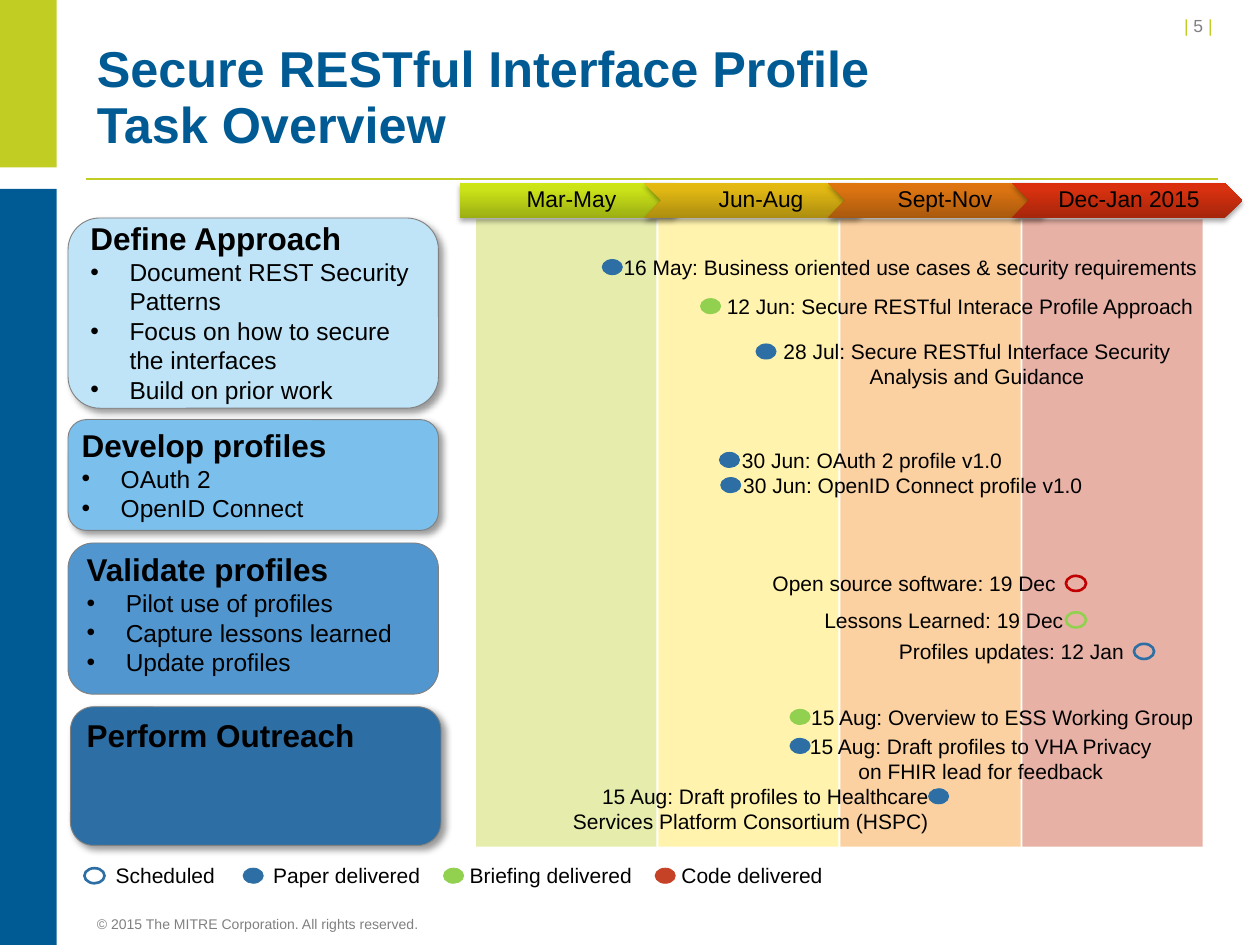
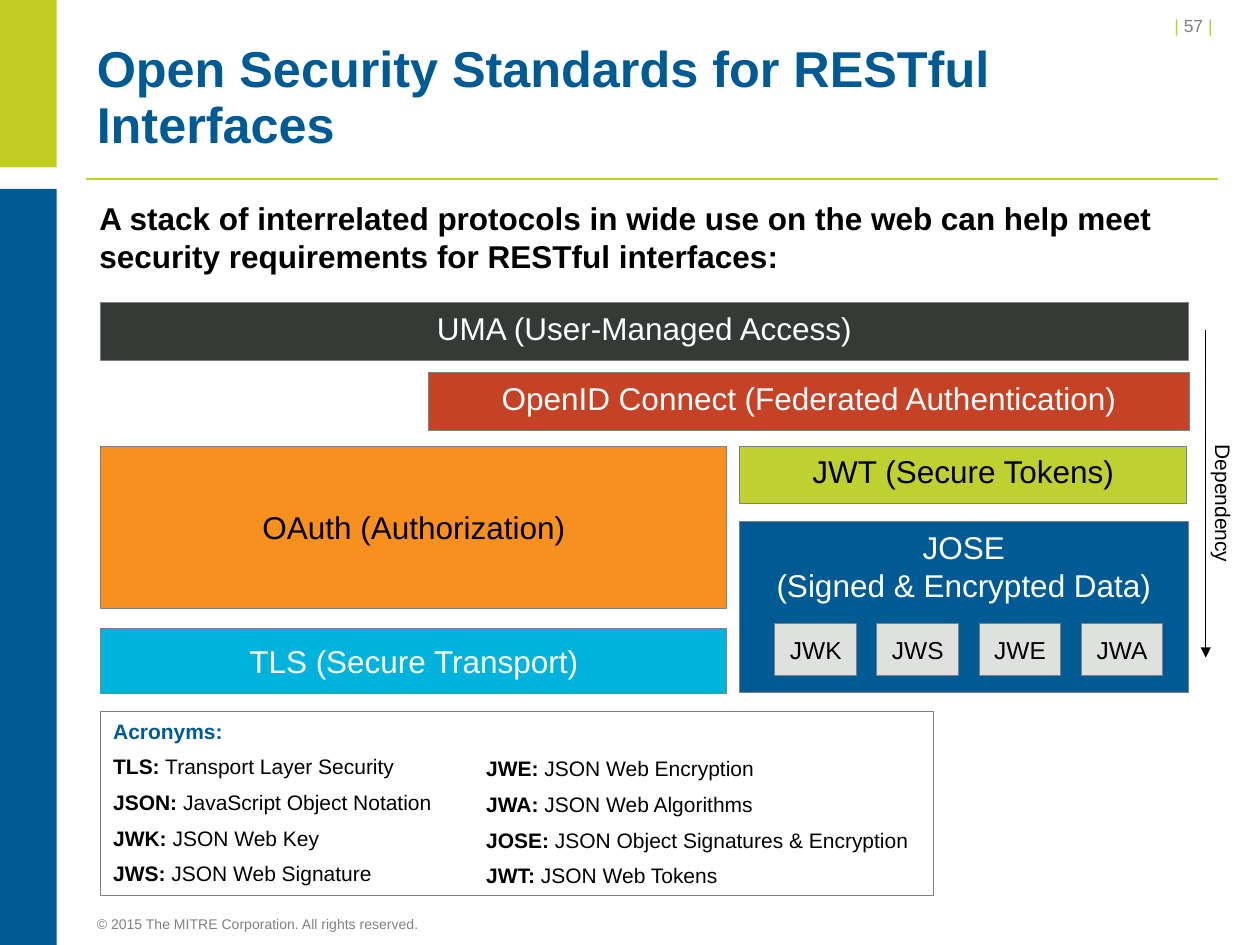
import copy

import pptx
import pptx.dml.color
import pptx.enum.shapes
import pptx.enum.text
import pptx.oxml.ns
import pptx.util
from lxml import etree
from pptx.util import Inches

FONT = "Arial"
LIME, NAVY, GRAY, BLACK, WHITE = "C1CD23", "005B94", "808080", "000000", "FFFFFF"
BLUE, GREEN, RED, ORANGE, DARK_RED = "2D6FA5", "92D050", "C64227", "F7901E", "C00000"
LEAF = "BED131"
PANEL_SHADOW = (40, 4, 3, 45)
CHEVRON_SHADOW = (35, 3.1, 1.8, 90)

SHAPE = pptx.enum.shapes.MSO_SHAPE
ALIGN = pptx.enum.text.PP_ALIGN
ANCHOR = pptx.enum.text.MSO_ANCHOR
qn = pptx.oxml.ns.qn


def rgb(color):
    return pptx.dml.color.RGBColor.from_string(color)


def add_child(parent, tag, **attributes):
    return etree.SubElement(parent, qn(tag), {key: str(value) for key, value in attributes.items()})


def write(shape, paragraphs, size=12, color=BLACK, bold=False, align=ALIGN.LEFT,
          anchor=ANCHOR.TOP, line_spacing=None, space_after=0, wrap=True, margins=None):
    """Fill a shape with paragraphs: each is a string or a list of (text, font changes)."""
    frame = shape.text_frame
    frame.word_wrap = wrap
    frame.vertical_anchor = anchor
    if not wrap:
        frame.auto_size = pptx.enum.text.MSO_AUTO_SIZE.SHAPE_TO_FIT_TEXT
    if margins:
        frame.margin_left, frame.margin_top, frame.margin_right, frame.margin_bottom = map(Inches, margins)
    if isinstance(paragraphs, str):
        paragraphs = [paragraphs]
    for number, runs in enumerate(paragraphs):
        paragraph = frame.add_paragraph() if number else frame.paragraphs[0]
        paragraph.alignment = align
        paragraph.space_after = pptx.util.Pt(space_after)
        if line_spacing:
            paragraph.line_spacing = line_spacing
        for text, changes in [(runs, {})] if isinstance(runs, str) else runs:
            style = {"size": size, "color": color, "bold": bold, **changes}
            for line_number, line in enumerate(text.split("\n")):
                if line_number:
                    paragraph.add_line_break()
                run = paragraph.add_run()
                run.text = line
                run.font.name = FONT
                run.font.size = pptx.util.Pt(style["size"])
                run.font.bold = style["bold"]
                run.font.color.rgb = rgb(style["color"])


def add_text(slide, left, top, width, height, paragraphs, **text_format):
    box = slide.shapes.add_textbox(Inches(left), Inches(top), Inches(width), Inches(height))
    write(box, paragraphs, **text_format)
    return box


def add_shape(slide, kind, left, top, width, height, fill=None, line=None, line_width=0.5, shadow=None):
    """Draw a preset shape; shadow is (opacity %, blur pt, distance pt, angle)."""
    shape = slide.shapes.add_shape(kind, Inches(left), Inches(top), Inches(width), Inches(height))
    shape.shadow.inherit = False
    if fill:
        shape.fill.solid()
        shape.fill.fore_color.rgb = rgb(fill)
    else:
        shape.fill.background()
    if line:
        shape.line.color.rgb = rgb(line)
        shape.line.width = pptx.util.Pt(line_width)
    else:
        shape.line.fill.background()
    if shadow:
        opacity, blur, distance, angle = shadow
        effects = shape.element.spPr.find(qn("a:effectLst"))
        outer = add_child(effects, "a:outerShdw", blurRad=int(blur * 12700), dist=int(distance * 12700),
                          dir=angle * 60000, algn="tl", rotWithShape=0)
        shade = add_child(outer, "a:srgbClr", val=BLACK)
        add_child(shade, "a:alpha", val=opacity * 1000)
    return shape


def add_line(slide, x1, y1, x2, y2, color, width, arrow=False):
    connector = slide.shapes.add_connector(
        pptx.enum.shapes.MSO_CONNECTOR.STRAIGHT, Inches(x1), Inches(y1), Inches(x2), Inches(y2))
    connector.line.color.rgb = rgb(color)
    connector.line.width = pptx.util.Pt(width)
    properties = connector.element.spPr
    if arrow:
        add_child(properties.find(qn("a:ln")), "a:tailEnd", type="triangle")
    add_child(properties, "a:effectLst")


def add_framed_slide(presentation, title, page):
    """Add a slide with the side bands, rule, page number, copyright line and title."""
    slide = presentation.slides.add_slide(presentation.slide_layouts[6])
    add_line(slide, 0.68, 1.42, 9.67, 1.42, LIME, 1)
    add_shape(slide, SHAPE.RECTANGLE, 0, 0, 0.45, 1.33, LIME)
    add_shape(slide, SHAPE.RECTANGLE, 0, 1.5, 0.45, 6, NAVY)
    add_text(slide, 8.01, 0.07, 1.75, 0.27, [[("| ", {"color": LIME}), (f"{page} ", {}), ("| ", {"color": LIME})]],
             size=10, color=GRAY, align=ALIGN.RIGHT)
    add_text(slide, 0.67, 7.28, 2.95, 0.17, "© 2015 The MITRE Corporation. All rights reserved.",
             size=8, color=GRAY, anchor=ANCHOR.BOTTOM, line_spacing=pptx.util.Pt(13))
    add_text(slide, 0.67, 0.3, 9, 0.95, title, size=28.8, color=NAVY, bold=True,
             anchor=ANCHOR.MIDDLE, line_spacing=pptx.util.Pt(32))
    return slide


def add_season_column(slide, index, color, opacity):
    column = add_shape(slide, SHAPE.RECTANGLE, 3.78 + 1.445 * index, 1.74, 1.43, 4.98, color)
    fill_color = column.element.spPr.find(qn("a:solidFill")).find(qn("a:srgbClr"))
    add_child(fill_color, "a:alpha", val=opacity * 1000)


def add_season_arrow(slide, index, label, colors):
    left = 3.65 + 1.46 * index
    kind = SHAPE.CHEVRON if index else SHAPE.PENTAGON
    arrow = add_shape(slide, kind, left, 1.45, 1.83, 0.28, shadow=CHEVRON_SHADOW)
    arrow.fill.gradient()
    arrow.fill.gradient_angle = 90
    stops = arrow.element.spPr.find(qn("a:gradFill")).find(qn("a:gsLst"))
    stops.insert(1, copy.deepcopy(stops[0]))
    for stop, position, color in zip(arrow.fill.gradient_stops, (0, 0.8, 1), colors):
        stop.position = position
        stop.color.rgb = rgb(color)
    label_left, width, inset = (left + 0.14, 1.54, 0.06) if index else (left, 1.76, 0.08)
    add_text(slide, label_left, 1.45, width, 0.28, label, size=13, align=ALIGN.CENTER,
             anchor=ANCHOR.MIDDLE, line_spacing=0.9, margins=(inset, 0.04, 0.02, 0.04))


def add_panel(slide, box, fill, shadow, text_position, heading, bullets):
    add_shape(slide, SHAPE.ROUNDED_RECTANGLE, *box, fill, GRAY, shadow=shadow)
    paragraphs = [[(heading, {"size": 18, "bold": True})], *bullets]
    text_box = add_text(slide, *text_position, 2.9, box[3], paragraphs, size=14)
    for paragraph in text_box.text_frame.paragraphs[1:]:
        properties = paragraph._p.get_or_add_pPr()
        properties.set("marL", str(Inches(0.31)))
        properties.set("indent", str(-Inches(0.31)))
        add_child(properties, "a:buFont", typeface=FONT)
        add_child(properties, "a:buChar", char="•")


def add_milestone(slide, dot_left, color, left, top, width, text, align=None, scheduled=False):
    """Draw a status dot and its label; a label without align stays on one line."""
    add_text(slide, left, top, width, 0.3, text, align=align or ALIGN.LEFT, wrap=align is not None)
    add_shape(slide, SHAPE.OVAL, dot_left, top + 0.09, 0.16, 0.12, None if scheduled else color,
              color, 1.5 if scheduled else 0.5)


def add_block(slide, left, top, width, height, text, fill, color=WHITE, size=18, anchor=ANCHOR.TOP):
    block = add_shape(slide, SHAPE.RECTANGLE, left, top, width, height, fill, GRAY)
    write(block, text, size=size, color=color, align=ALIGN.CENTER, anchor=anchor)


def add_acronyms(slide, left, top, width, height, entries, heading=None):
    paragraphs = [[(heading, {"color": NAVY, "bold": True})]] if heading else []
    for entry in entries:
        term, space, meaning = entry.partition(" ")
        paragraphs.append([(term, {"bold": True}), (space + meaning, {})])
    add_text(slide, left, top, width, height, paragraphs, space_after=6)


def build_task_overview(presentation):
    slide = add_framed_slide(presentation, "Secure RESTful Interface Profile\nTask Overview", 5)
    seasons = [
        ("Mar-May ", LEAF, 40, ("9BAE13", "CAE218", "CEE714")),
        ("Jun-Aug", "FFE23C", 41, ("AC8D0F", "E0B713", "E5BB0F")),
        ("Sept-Nov", ORANGE, 41, ("A9590D", "DB7311", "E0740D")),
        ("Dec-Jan 2015", RED, 41, ("A6250B", "D7310F", "DC2E0B")),
    ]
    for index, (label, column_color, opacity, arrow_colors) in enumerate(seasons):
        add_season_column(slide, index, column_color, opacity)
        add_season_arrow(slide, index, label, arrow_colors)

    panels = [
        ((0.54, 4.31, 2.94, 1.2), "5196CF", None, (0.59, 4.32), "Validate profiles",
         ["Pilot use of profiles", "Capture lessons learned", "Update profiles"]),
        ((0.54, 3.33, 2.94, 0.88), "7BBFED", PANEL_SHADOW, (0.55, 3.33), "Develop profiles",
         ["OAuth 2", "OpenID Connect"]),
        ((0.54, 1.73, 2.94, 1.51), "BFE4F7", PANEL_SHADOW, (0.62, 1.69), "Define Approach",
         ["Document REST Security Patterns", "Focus on how to secure the interfaces", "Build on prior work"]),
        ((0.56, 5.61, 2.94, 1.1), BLUE, PANEL_SHADOW, (0.59, 5.63), "Perform Outreach", []),
    ]
    for panel in panels:
        add_panel(slide, *panel)

    milestones = [
        (4.78, BLUE, 4.85, 1.97, 4.79, "16 May: Business oriented use cases & security requirements"),
        (5.56, GREEN, 5.67, 2.28, 3.98, "12 Jun: Secure RESTful Interace Profile Approach"),
        (6, BLUE, 6.08, 2.64, 3.35, "28 Jul: Secure RESTful Interface Security Analysis and Guidance",
         ALIGN.CENTER),
        (5.71, BLUE, 5.79, 3.5, 2.28, "30 Jun: OAuth 2 profile v1.0"),
        (5.72, BLUE, 5.8, 3.7, 2.96, "30 Jun: OpenID Connect profile v1.0"),
        (8.46, DARK_RED, 5.94, 4.48, 2.54, "Open source software: 19 Dec", ALIGN.RIGHT, True),
        (8.46, GREEN, 5.77, 4.77, 2.77, "Lessons Learned: 19 Dec", ALIGN.RIGHT, True),
        (9, BLUE, 6.25, 5.02, 2.77, "Profiles updates: 12 Jan", ALIGN.RIGHT, True),
        (6.27, GREEN, 6.34, 5.54, 3.26, "15 Aug: Overview to ESS Working Group"),
        (6.27, BLUE, 6.24, 5.77, 3.09, "15 Aug: Draft profiles to VHA Privacy on FHIR lead for feedback",
         ALIGN.CENTER),
        (7.37, BLUE, 4.38, 6.17, 3.09,
         "15 Aug: Draft profiles to Healthcare Services Platform Consortium (HSPC)", ALIGN.RIGHT),
    ]
    legend = [
        (0.67, BLUE, 0.82, 6.8, 0.99, "Scheduled", None, True),
        (1.93, BLUE, 2.07, 6.8, 1.37, "Paper delivered"),
        (3.52, GREEN, 3.63, 6.8, 1.5, "Briefing delivered"),
        (5.2, RED, 5.31, 6.8, 1.33, "Code delivered"),
    ]
    for milestone in milestones + legend:
        add_milestone(slide, *milestone)


def build_standards_stack(presentation):
    slide = add_framed_slide(presentation, "Open Security Standards for RESTful Interfaces", 57)
    add_text(slide, 0.69, 1.53, 8.88, 1.64,
             "A stack of interrelated protocols in wide use on the web can help meet "
             "security requirements for RESTful interfaces:", size=18, bold=True)

    add_block(slide, 0.8, 2.4, 8.63, 0.46, "UMA (User-Managed Access)", "363A36")
    add_block(slide, 3.4, 2.96, 6.04, 0.46, "OpenID Connect (Federated Authentication)", RED)
    add_block(slide, 0.8, 3.54, 4.97, 1.29, "OAuth (Authorization)", ORANGE, BLACK, anchor=ANCHOR.MIDDLE)
    add_block(slide, 5.87, 3.54, 3.55, 0.46, "JWT (Secure Tokens)", LEAF, BLACK)
    add_block(slide, 0.8, 4.99, 4.97, 0.51, "TLS (Secure Transport)", "00B3DC", anchor=ANCHOR.MIDDLE)
    add_block(slide, 5.87, 4.14, 3.56, 1.36, ["JOSE", "(Signed & Encrypted Data)"], NAVY)
    for index, name in enumerate(["JWK", "JWS", "JWE", "JWA"]):
        add_block(slide, 6.15 + 0.81 * index, 4.95, 0.65, 0.41, name, "DFE1DF", BLACK, 14, ANCHOR.MIDDLE)

    add_shape(slide, SHAPE.RECTANGLE, 0.8, 5.65, 6.61, 1.46, line=GRAY)
    add_acronyms(slide, 0.8, 5.65, 2.96, 1.45, [
        "TLS: Transport Layer Security", "JSON: JavaScript Object Notation",
        "JWK: JSON Web Key", "JWS: JSON Web Signature"], heading="Acronyms:")
    add_acronyms(slide, 3.76, 5.95, 3.85, 1.16, [
        "JWE: JSON Web Encryption", "JWA: JSON Web Algorithms",
        "JOSE: JSON Object Signatures & Encryption", "JWT: JSON Web Tokens"])

    add_line(slide, 9.57, 2.62, 9.57, 5.22, BLACK, 0.75, arrow=True)
    dependency = add_text(slide, 9.14, 3.85, 1.14, 0.3, "Dependency", wrap=False)
    dependency.rotation = 90


def main():
    presentation = pptx.Presentation()
    presentation.slide_width = Inches(10)
    presentation.slide_height = Inches(7.5)
    build_task_overview(presentation)
    build_standards_stack(presentation)
    presentation.save("out.pptx")


if __name__ == "__main__":
    main()
